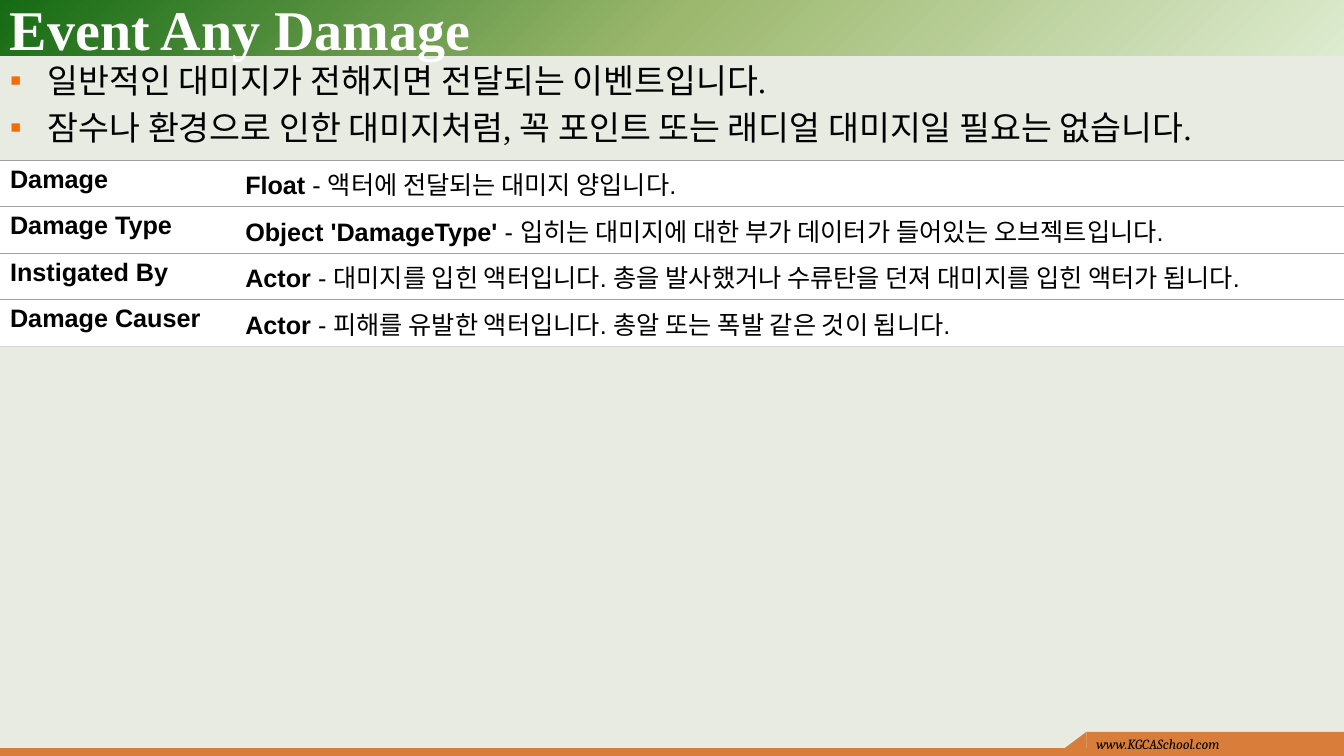
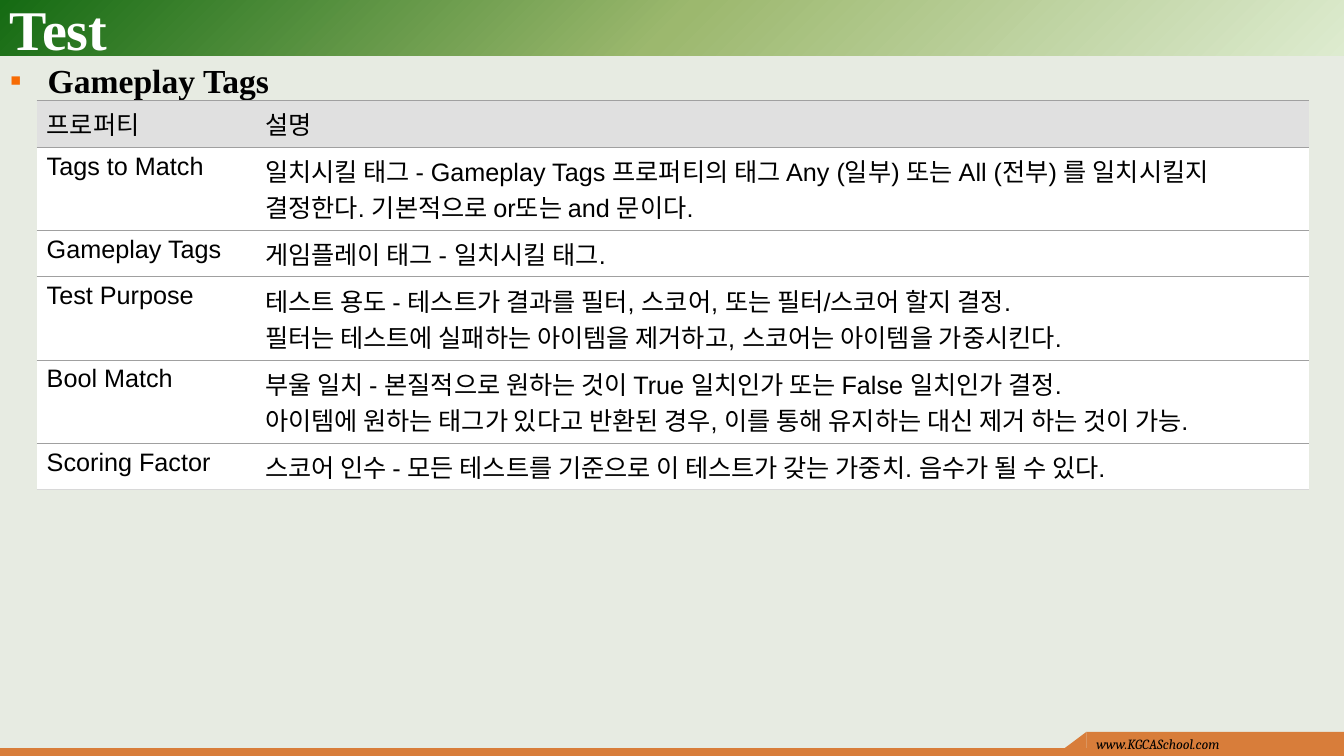
import pptx
import pptx.dml.color
import pptx.enum.shapes
import pptx.enum.text
import pptx.oxml
import pptx.oxml.ns
import pptx.util

Pt = pptx.util.Pt
RECTANGLE = pptx.enum.shapes.MSO_SHAPE.RECTANGLE
NAMESPACE = pptx.oxml.ns.nsdecls("a")
NO_TABLE_STYLE = "{2D5ABB26-0587-4C30-8999-92F81FD0307C}"

COLORS = {
    "background": "E7EBE2",
    "band_light": "DDEBCF",
    "band_middle": "9CB86E",
    "band_dark": "156B13",
    "footer": "D87D3A",
    "bullet": "F76B04",
    "title": "FFFFFF",
    "text": "000000",
    "header_row": "E0E0E0",
    "body_row": "FFFFFF",
    "rule": "A0A0A0",
    "last_rule": "D8D8D8",
}

PAGE_WIDTH, PAGE_HEIGHT = 960, 540
BAND_HEIGHT = 39.6
TAB_TOP, STRIP_TOP = 522.8, 534.4
TAB_LEFT, TAB_SLOPE = 776, 16
LINE_HEIGHT, CELL_MARGINS = 26.1, 7.2

# Table rows: label, bold lead, description, number of lines
PAGES = [
    {
        "title": "Event Any Damage",
        "bullets": [
            "일반적인 대미지가 전해지면 전달되는 이벤트입니다.",
            "잠수나 환경으로 인한 대미지처럼, 꼭 포인트 또는 래디얼 대미지일 필요는 없습니다.",
        ],
        "bold_labels": True,
        "bold_bullets": False,
        "header": False,
        "place": (0, 114.4),
        "columns": (168, 792),
        "rows": [
            ("Damage", "Float ", "- 액터에 전달되는 대미지 양입니다.", 1),
            ("Damage Type", "Object 'DamageType' ",
             "- 입히는 대미지에 대한 부가 데이터가 들어있는 오브젝트입니다.", 1),
            ("Instigated By", "Actor ",
             "- 대미지를 입힌 액터입니다. 총을 발사했거나 수류탄을 던져 대미지를 입힌 액터가 됩니다.", 1),
            ("Damage Causer", "Actor ",
             "- 피해를 유발한 액터입니다. 총알 또는 폭발 같은 것이 됩니다.", 1),
        ],
    },
    {
        "title": "Test",
        "bullets": ["Gameplay Tags"],
        "bold_labels": False,
        "bold_bullets": True,
        "header": True,
        "place": (26.2, 71.8),
        "columns": (156, 753),
        "rows": [
            ("프로퍼티", "", "설명", 1),
            ("Tags to Match", "",
             "일치시킬 태그 - Gameplay Tags 프로퍼티의 태그 Any (일부) 또는 All (전부) 를 일치시킬지 "
             "결정한다. 기본적으로 or또는 and 문이다.", 2),
            ("Gameplay Tags", "", "게임플레이 태그 - 일치시킬 태그.", 1),
            ("Test Purpose", "",
             "테스트 용도 - 테스트가 결과를 필터, 스코어, 또는 필터/스코어 할지 결정.\n"
             "필터는 테스트에 실패하는 아이템을 제거하고, 스코어는 아이템을 가중시킨다.", 2),
            ("Bool Match", "",
             "부울 일치 - 본질적으로 원하는 것이 True 일치인가 또는 False 일치인가 결정.\n"
             "아이템에 원하는 태그가 있다고 반환된 경우, 이를 통해 유지하는 대신 제거 하는 것이 가능.", 2),
            ("Scoring Factor", "",
             "스코어 인수 - 모든 테스트를 기준으로 이 테스트가 갖는 가중치. 음수가 될 수 있다.", 1),
        ],
    },
]


def paint(fill, color):
    fill.solid()
    fill.fore_color.rgb = pptx.dml.color.RGBColor.from_string(COLORS[color])


def format_text(text_frame, size, name, color="text", bold=False, italic=False):
    """Give every run of the frame the same font, without pair kerning."""
    for para in text_frame.paragraphs:
        for span in para.runs:
            span.font.size = Pt(size)
            span.font.name = name
            span.font.bold = bold
            span.font.italic = italic
            paint(span.font.fill, color)
            span._r.get_or_add_rPr().set("kern", "0")


deck = pptx.Presentation()
deck.slide_width, deck.slide_height = Pt(PAGE_WIDTH), Pt(PAGE_HEIGHT)
paint(deck.slide_master.background.fill, "background")

for content in PAGES:
    page = deck.slides.add_slide(deck.slide_layouts[6])

    # Title band
    band = page.shapes.add_shape(RECTANGLE, 0, 0, Pt(PAGE_WIDTH), Pt(BAND_HEIGHT))
    band.shadow.inherit = False
    band.line.fill.background()
    band.fill.background()
    properties = band.element.spPr
    stops = "".join(
        f'<a:gs pos="{position * 1000}"><a:srgbClr val="{COLORS[color]}"/></a:gs>'
        for position, color in ((0, "band_light"), (50, "band_middle"), (100, "band_dark"))
    )
    gradient = pptx.oxml.parse_xml(
        f'<a:gradFill {NAMESPACE} rotWithShape="1"><a:gsLst>{stops}</a:gsLst>'
        '<a:path path="circle"><a:fillToRect l="100000" t="100000"/></a:path></a:gradFill>'
    )
    properties.replace(properties.find(pptx.oxml.ns.qn("a:noFill")), gradient)

    # Footer strip with its raised tab and the slope beside it
    strip = page.shapes.add_shape(
        RECTANGLE, 0, Pt(STRIP_TOP), Pt(PAGE_WIDTH), Pt(PAGE_HEIGHT - STRIP_TOP))
    tab = page.shapes.add_shape(
        RECTANGLE, Pt(TAB_LEFT), Pt(TAB_TOP), Pt(PAGE_WIDTH - TAB_LEFT), Pt(12))
    builder = page.shapes.build_freeform(Pt(TAB_LEFT - TAB_SLOPE), Pt(TAB_TOP + 12))
    builder.add_line_segments([
        (Pt(TAB_LEFT), Pt(TAB_TOP + 12)),
        (Pt(TAB_LEFT), Pt(TAB_TOP)),
    ])
    slope = builder.convert_to_shape()
    for part in (strip, tab, slope):
        part.shadow.inherit = False
        part.line.fill.background()
        paint(part.fill, "footer")

    address = page.shapes.add_textbox(
        Pt(TAB_LEFT), Pt(522), Pt(PAGE_WIDTH - TAB_LEFT), Pt(18))
    address.text_frame.word_wrap = True
    address.text_frame.text = "www.KGCASchool.com"
    format_text(address.text_frame, 10, "Cambria", italic=True)

    # Bullets
    body = page.shapes.add_textbox(0, Pt(39), Pt(PAGE_WIDTH), Pt(466))
    body.text_frame.word_wrap = True
    body.text_frame.text = "\n".join(content["bullets"])
    for index, para in enumerate(body.text_frame.paragraphs):
        settings = para._p.get_or_add_pPr()
        settings.set("marL", str(Pt(27)))
        settings.set("indent", str(-Pt(27)))
        for markup in (
            f'<a:buClr {NAMESPACE}><a:srgbClr val="{COLORS["bullet"]}"/></a:buClr>',
            f'<a:buFont {NAMESPACE} typeface="Arial"/>',
            f'<a:buChar {NAMESPACE} char="▪"/>',
        ):
            settings.append(pptx.oxml.parse_xml(markup))
        if index:
            para.space_before = Pt(4.8)
    format_text(body.text_frame, 24, "Times New Roman", bold=content["bold_bullets"])

    # Title
    title = page.shapes.add_textbox(0, 0, Pt(608), Pt(BAND_HEIGHT))
    title.text_frame.word_wrap = True
    title.text_frame.vertical_anchor = pptx.enum.text.MSO_ANCHOR.MIDDLE
    title.text_frame.text = content["title"]
    format_text(title.text_frame, 40, "Times New Roman", "title", bold=True)

    # Property table
    rows, columns = content["rows"], content["columns"]
    left, top = content["place"]
    heights = [lines * LINE_HEIGHT + CELL_MARGINS for *_, lines in rows]
    frame = page.shapes.add_table(
        len(rows), len(columns), Pt(left), Pt(top), Pt(sum(columns)), Pt(sum(heights)))
    table = frame.table
    table.first_row = content["header"]
    table.horz_banding = False
    table._tbl.tblPr.find(pptx.oxml.ns.qn("a:tableStyleId")).text = NO_TABLE_STYLE
    for column, width in zip(table.columns, columns):
        column.width = Pt(width)

    for index, (label, lead, description, _) in enumerate(rows):
        table.rows[index].height = Pt(heights[index])
        is_header = content["header"] and index == 0
        bottom_rule = "last_rule" if index == len(rows) - 1 else "rule"
        for cell, text in zip(table.rows[index].cells, (label, description)):
            paint(cell.fill, "header_row" if is_header else "body_row")
            for position, (side, rule) in enumerate((("lnT", "rule"), ("lnB", bottom_rule))):
                cell._tc.get_or_add_tcPr().insert(position, pptx.oxml.parse_xml(
                    f'<a:{side} {NAMESPACE} w="{Pt(0.75)}"><a:solidFill>'
                    f'<a:srgbClr val="{COLORS[rule]}"/></a:solidFill></a:{side}>'))
            cell.text_frame.text = text
        label_cell, description_cell = table.rows[index].cells
        if lead:
            para = description_cell.text_frame.paragraphs[0]
            para.text = lead
            para.add_run().text = description
        format_text(label_cell.text_frame, 18, "Arial", bold=content["bold_labels"])
        format_text(description_cell.text_frame, 18, "Arial")
        if lead:
            para.runs[0].font.bold = True

deck.save("out.pptx")
